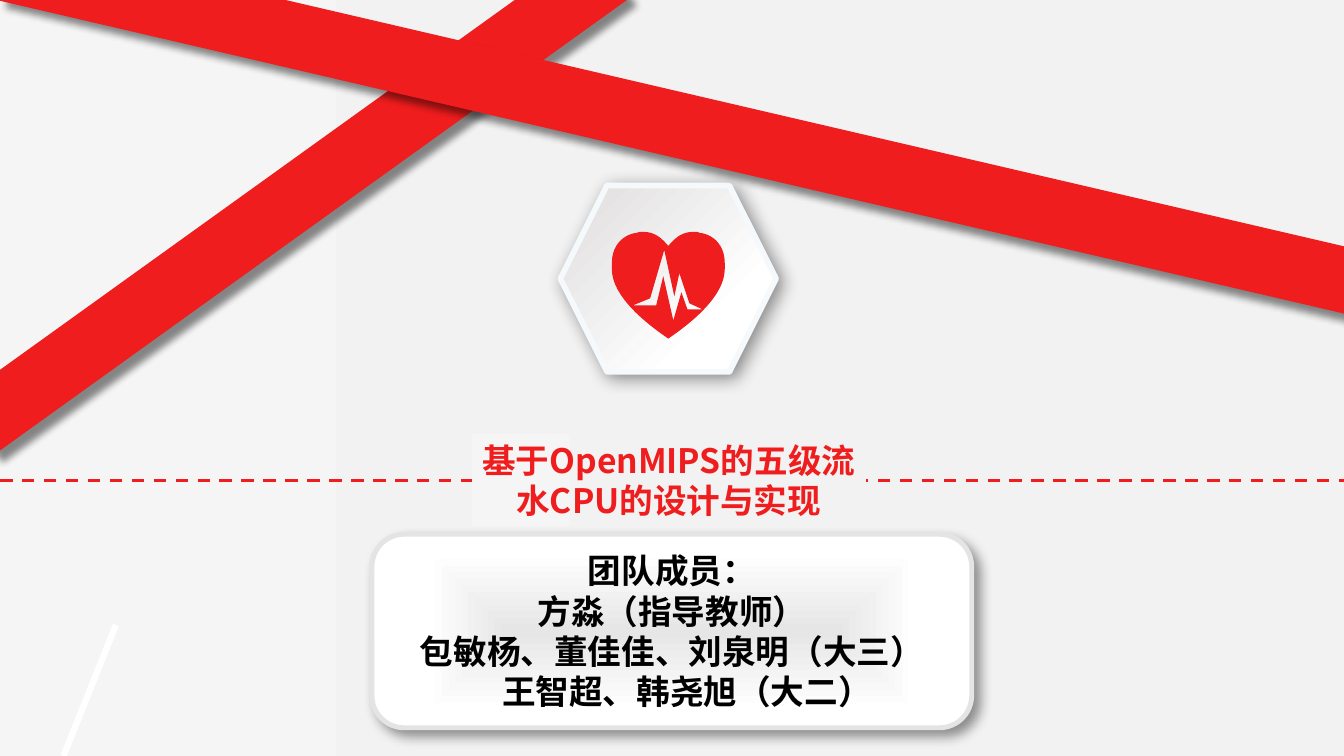
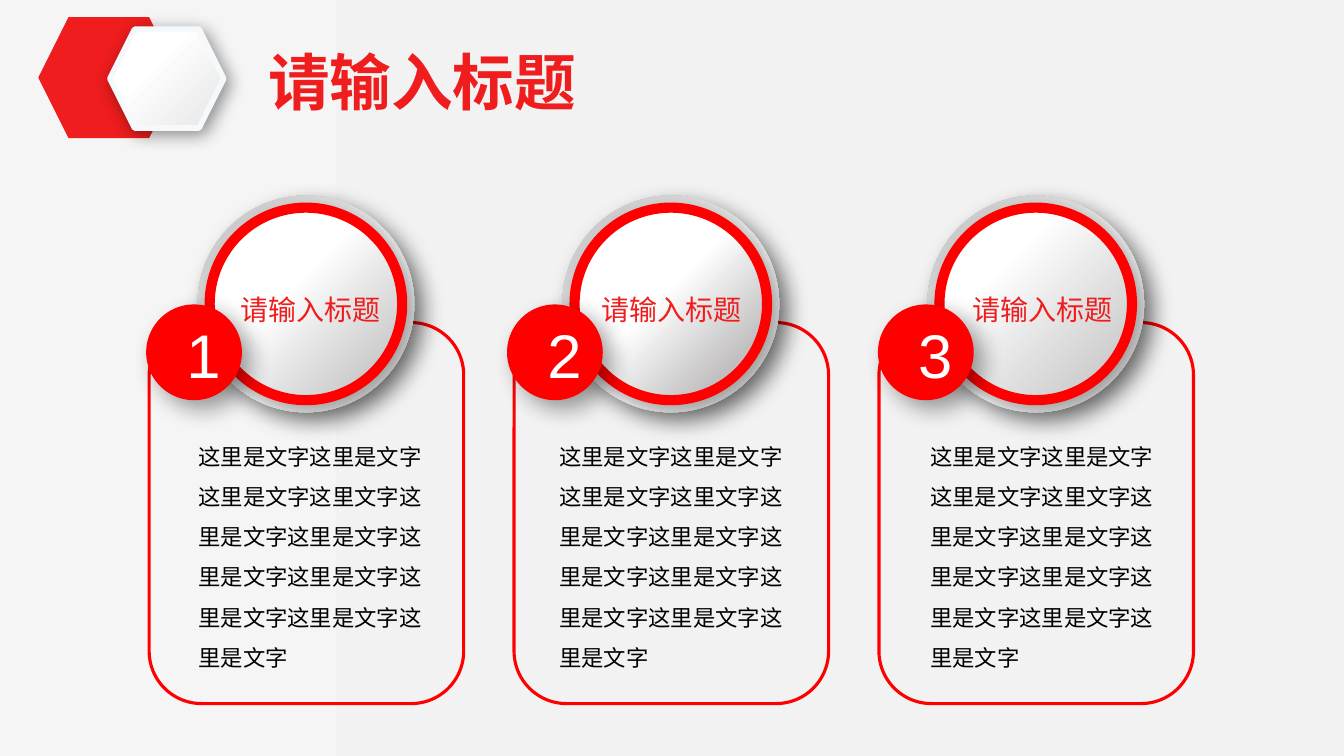
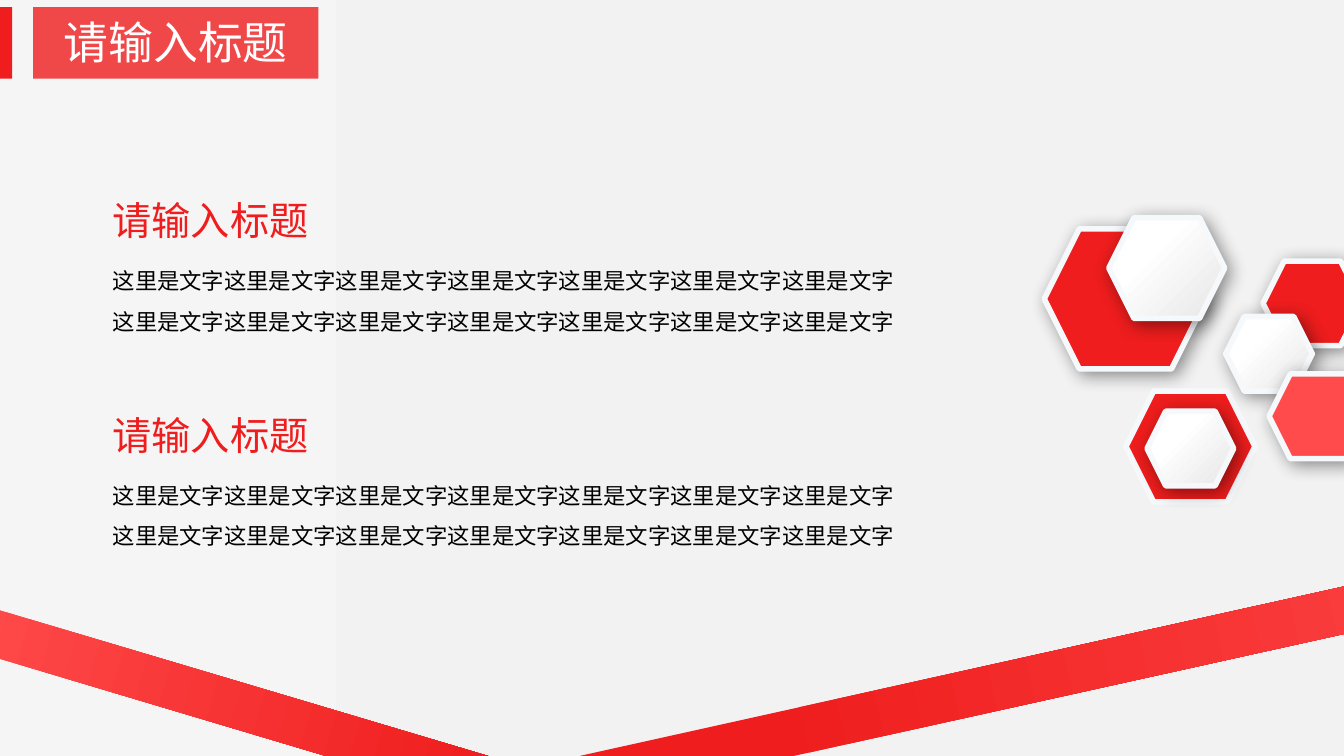
from dataclasses import dataclass
from typing import Optional, Sequence, Union

from lxml.etree import SubElement
from pptx import Presentation
from pptx.dml.color import RGBColor
from pptx.dml.fill import FillFormat
from pptx.enum.dml import MSO_LINE as Dash
from pptx.enum.shapes import MSO_CONNECTOR as Connector
from pptx.enum.shapes import MSO_SHAPE as Preset
from pptx.enum.text import MSO_ANCHOR as Anchor
from pptx.enum.text import MSO_AUTO_SIZE as AutoSize
from pptx.enum.text import PP_ALIGN as Align
from pptx.oxml.ns import qn
from pptx.shapes.autoshape import Shape
from pptx.slide import Slide
from pptx.util import Emu, Pt

EMU_PER_PX = 9144  # 100 px to the inch
Point = tuple[float, float]


@dataclass(frozen=True)
class Box:
    left: int
    top: int
    width: int
    height: int


@dataclass(frozen=True)
class Gradient:
    """Two (percent, colour) stops; the angle runs clockwise."""
    start: tuple[int, str]
    end: tuple[int, str]
    angle: int = 0
    boxed: bool = False


@dataclass(frozen=True)
class Shadow:
    opacity: int
    blur: int
    distance: int


@dataclass(frozen=True)
class Line:
    color: str
    width: float


Fill = Union[str, Gradient, None]


@dataclass(frozen=True)
class Theme:
    red: str = "EF1D1D"
    bright_red: str = "FF0000"
    light_red: str = "FF4B4B"
    white: str = "FFFFFF"
    black: str = "000000"
    grey: str = "C1BFBF"
    background: Gradient = Gradient((0, "F5F5F5"), (50, "F2F2F2"))
    raised: Gradient = Gradient((34, "FFFFFF"), (100, "E7E6E6"), 45)
    emblem: Gradient = Gradient((9, "E3E1E1"), (73, "FFFFFF"), 45)
    rim: Gradient = Gradient((0, "C1BFBF"), (63, "FFFFFF"), 45)
    panel: Gradient = Gradient((0, "E7E6E6"), (81, "FFFFFF"), boxed=True)
    hexagon_edge: Line = Line("F6F9FC", 4)
    panel_edge: Line = Line("E4E4E4", 3.5)
    card_edge: Line = Line("FF0000", 2.25)
    ring_edge: Line = Line("FF0000", 7.25)
    band_shadow: Shadow = Shadow(46, 5, 8)
    hexagon_shadow: Shadow = Shadow(43, 13, 4)
    panel_shadow: Shadow = Shadow(42, 9, 6)
    circle_shadow: Shadow = Shadow(38, 17, 9)
    font: str = "Noto Sans CJK SC"
    number_font: str = "Arial"
    body_size: int = 16
    label_size: int = 20
    cover_size: int = 24
    heading_size: int = 28
    tag_size: int = 32
    title_size: int = 44


THEME = Theme()


@dataclass(frozen=True)
class Column:
    card_left: int
    body_left: int
    ring_stops: tuple[int, int]


@dataclass(frozen=True)
class Hexagon:
    box: Box
    fill: Fill
    shadow: Optional[Shadow] = THEME.hexagon_shadow


PLACEHOLDER_TITLE = "请输入标题"
PHRASE = "这里是文字"
COLUMN_TEXT = PHRASE * 3 + "这里文字" + PHRASE * 7
COLUMNS = [
    Column(148, 187, (41, 94)),
    Column(510, 545, (45, 82)),
    Column(872, 913, (30, 100)),
]
CLUSTER = [
    Hexagon(Box(1036, 227, 161, 139), THEME.red),
    Hexagon(Box(1100, 216, 115, 100), THEME.raised),
    Hexagon(Box(1253, 259, 98, 84), THEME.red),
    Hexagon(Box(1117, 388, 128, 110), THEME.red, None),
    Hexagon(Box(1216, 314, 86, 74), THEME.raised),
    Hexagon(Box(1259, 371, 98, 84), THEME.light_red),
    Hexagon(Box(1138, 408, 86, 74), THEME.raised),
]
HEART_AXIS = 663
HEART_CURVES = [
    [(663, 336), (622, 308), (607, 285), (607, 267)],
    [(607, 261), (607, 241), (621, 232), (632, 231)],
    [(632, 231), (634, 230), (636, 230), (637, 230)],
    [(637, 230), (650, 230), (656, 236), (663, 244)],
]
PULSE = [(684, 301), (674, 271), (669, 294), (659, 248), (645, 296), (628, 303),
         (651, 303), (658, 274), (668, 318), (676, 290), (682, 307), (697, 307)]


def px(value: float) -> Emu:
    return Emu(round(value * EMU_PER_PX))


def frame(box: Box) -> tuple[Emu, Emu, Emu, Emu]:
    return px(box.left), px(box.top), px(box.width), px(box.height)


def paint(target: FillFormat, fill: Fill) -> None:
    if fill is None:
        target.background()
    elif isinstance(fill, str):
        target.solid()
        target.fore_color.rgb = RGBColor.from_string(fill)
    else:
        target.gradient()
        target.gradient_angle = (360 - fill.angle) % 360
        for stop, (percent, color) in zip(target.gradient_stops, (fill.start, fill.end)):
            stop.position = percent / 100
            stop.color.rgb = RGBColor.from_string(color)


def box_gradient(shape: Shape) -> None:
    """Turn a linear gradient into one that runs from the centre to the edges."""
    gradient = shape.element.spPr.find(qn("a:gradFill"))
    gradient.remove(gradient.find(qn("a:lin")))
    center = SubElement(gradient, qn("a:path"), {"path": "rect"})
    SubElement(center, qn("a:fillToRect"), dict.fromkeys("ltrb", "50000"))


def cast_shadow(shape: Shape, shadow: Shadow) -> None:
    effects = shape.element.spPr.find(qn("a:effectLst"))
    outer = SubElement(effects, qn("a:outerShdw"), {
        "blurRad": str(Pt(shadow.blur)), "dist": str(Pt(shadow.distance)),
        "dir": str(45 * 60000), "algn": "tl", "rotWithShape": "0"})
    color = SubElement(outer, qn("a:srgbClr"), {"val": THEME.black})
    SubElement(color, qn("a:alpha"), {"val": str(shadow.opacity * 1000)})


def style_shape(shape: Shape, fill: Fill, line: Optional[Line] = None,
                shadow: Optional[Shadow] = None) -> None:
    shape.shadow.inherit = False
    paint(shape.fill, fill)
    if isinstance(fill, Gradient) and fill.boxed:
        box_gradient(shape)
    if line:
        paint(shape.line.fill, line.color)
        shape.line.width = Pt(line.width)
    else:
        shape.line.fill.background()
    if shadow:
        cast_shadow(shape, shadow)


def add_preset(page: Slide, preset: Preset, box: Box, fill: Fill, *,
               line: Optional[Line] = None, shadow: Optional[Shadow] = None,
               rotation: float = 0) -> Shape:
    shape = page.shapes.add_shape(preset, *frame(box))
    shape.rotation = rotation
    style_shape(shape, fill, line, shadow)
    return shape


def add_hexagon(page: Slide, hexagon: Hexagon) -> None:
    add_preset(page, Preset.HEXAGON, hexagon.box, hexagon.fill,
               line=THEME.hexagon_edge, shadow=hexagon.shadow)


def add_line(page: Slide, start: Point, end: Point, line: Line,
             dash: Optional[Dash] = None) -> None:
    connector = page.shapes.add_connector(
        Connector.STRAIGHT, *(px(value) for value in (*start, *end)))
    paint(connector.line.fill, line.color)
    connector.line.width = Pt(line.width)
    if dash:
        connector.line.dash_style = dash
    SubElement(connector.element.spPr, qn("a:effectLst"))


def write(shape: Shape, lines: Sequence[str], *, size: int, color: str = THEME.black,
          font: str = THEME.font, bold: bool = False, align: Align = Align.LEFT,
          anchor: Anchor = Anchor.TOP, spacing: float = 1, wrap: bool = True) -> None:
    text_frame = shape.text_frame
    text_frame.auto_size = AutoSize.NONE
    text_frame.word_wrap = wrap
    text_frame.vertical_anchor = anchor
    for index, line in enumerate(lines):
        para = text_frame.add_paragraph() if index else text_frame.paragraphs[0]
        para.alignment = align
        para.line_spacing = spacing
        span = para.add_run()
        span.text = line
        span.font.size = Pt(size)
        span.font.bold = bold
        span.font.name = font
        span.font.color.rgb = RGBColor.from_string(color)
        SubElement(span.font._element, qn("a:ea"), {"typeface": font})


def add_text(page: Slide, box: Box, text: str, **style) -> None:
    write(page.shapes.add_textbox(*frame(box)), [text], **style)


def place_title(page: Slide, box: Box, text: str, **style) -> Shape:
    """Move the title placeholder into the box and in front of what is drawn so far."""
    title = page.shapes.title
    title.left, title.top, title.width, title.height = frame(box)
    title.element.getparent().append(title.element)
    write(title, [text], align=Align.CENTER, **style)
    return title


def sample_curve(controls: Sequence[Point], steps: int = 12) -> list[Point]:
    """Points along a cubic Bezier curve."""
    def blend(values: Sequence[float], t: float) -> float:
        a, b, c, d = values
        u = 1 - t
        return a * u ** 3 + 3 * b * u * u * t + 3 * c * u * t * t + d * t ** 3

    xs, ys = zip(*controls)
    return [(blend(xs, step / steps), blend(ys, step / steps))
            for step in range(steps + 1)]


def add_heart(page: Slide) -> None:
    left_half = [point for curve in HEART_CURVES for point in sample_curve(curve)]
    right_half = [(2 * HEART_AXIS - x, y) for x, y in reversed(left_half)]
    outline, pulse = ([(px(x), px(y)) for x, y in points]
                      for points in (left_half + right_half, PULSE))
    builder = page.shapes.build_freeform(*outline[0])
    builder.add_line_segments(outline[1:], close=True)
    builder.move_to(*pulse[0])
    builder.add_line_segments(pulse[1:], close=True)
    style_shape(builder.convert_to_shape(), THEME.red)


def build_cover(page: Slide) -> None:
    add_line(page, (115, 620), (63, 750), Line(THEME.white, 4.5))
    add_preset(page, Preset.RECTANGLE, Box(-97, 166, 774, 65), THEME.red,
               shadow=THEME.band_shadow, rotation=324.3)
    add_hexagon(page, Hexagon(Box(556, 184, 214, 185), THEME.emblem))
    add_heart(page)
    add_line(page, (0, 477), (1333, 477), Line(THEME.red, 2.25), Dash.DASH)
    title = place_title(page, Box(468, 431, 391, 91),
                        "基于OpenMIPS的五级流水CPU的设计与实现",
                        size=THEME.cover_size, color=THEME.red, bold=True)
    paint(title.fill, THEME.background)
    add_preset(page, Preset.RECTANGLE, Box(-14, 92, 1378, 65), THEME.red,
               shadow=THEME.band_shadow, rotation=13.1)
    team = add_preset(page, Preset.ROUNDED_RECTANGLE, Box(369, 530, 595, 192),
                      THEME.panel, line=THEME.panel_edge, shadow=THEME.panel_shadow)
    write(team, ["团队成员：", "方淼（指导教师）", "包敏杨、董佳佳、刘泉明（大三）",
                 "王智超、韩尧旭（大二）"],
          size=THEME.cover_size, bold=True, align=Align.CENTER, anchor=Anchor.MIDDLE)
    last_para = team.text_frame.paragraphs[-1]
    last_para._p.get_or_add_pPr().set("marL", str(px(30)))


def add_card(page: Slide, column: Column) -> None:
    left = column.card_left
    first, last = column.ring_stops
    ring = Gradient((first, THEME.white), (last, THEME.grey), 45)
    add_preset(page, Preset.ROUNDED_RECTANGLE, Box(left, 320, 312, 378), None,
               line=THEME.card_edge)
    add_preset(page, Preset.OVAL, Box(left + 48, 194, 215, 215), THEME.rim,
               shadow=THEME.circle_shadow)
    add_preset(page, Preset.OVAL, Box(left + 60, 206, 191, 191), ring,
               line=THEME.ring_edge, shadow=THEME.circle_shadow)


def add_card_text(page: Slide, number: int, column: Column) -> None:
    left = column.body_left
    add_preset(page, Preset.OVAL, Box(left - 42, 302, 95, 95), THEME.bright_red,
               shadow=THEME.circle_shadow)
    add_text(page, Box(left, 421, 244, 252), COLUMN_TEXT,
             size=THEME.body_size, spacing=1.5)
    add_text(page, Box(left + 34, 285, 175, 44), PLACEHOLDER_TITLE,
             size=THEME.label_size, color=THEME.red, align=Align.CENTER)
    add_text(page, Box(left - 12, 309, 54, 84), str(number), size=THEME.title_size,
             color=THEME.white, font=THEME.number_font, align=Align.CENTER)


def build_columns(page: Slide) -> None:
    for column in COLUMNS:
        add_card(page, column)
    for number, column in enumerate(COLUMNS, start=1):
        add_card_text(page, number, column)
    add_preset(page, Preset.HEXAGON, Box(38, 17, 140, 120), THEME.red)
    add_hexagon(page, Hexagon(Box(109, 29, 113, 98), THEME.raised))
    place_title(page, Box(223, 39, 392, 84), PLACEHOLDER_TITLE,
                size=THEME.title_size, color=THEME.red, bold=True)


def build_sections(page: Slide) -> None:
    for top in (190, 403):
        add_text(page, Box(102, top, 314, 57), PLACEHOLDER_TITLE,
                 size=THEME.heading_size, color=THEME.red)
        add_text(page, Box(102, top + 57, 807, 91), PHRASE * 14,
                 size=THEME.body_size, spacing=1.5)
    tag = add_preset(page, Preset.RECTANGLE, Box(33, 7, 283, 71), THEME.red)
    tag_color = tag.element.spPr.find(qn("a:solidFill")).find(qn("a:srgbClr"))
    SubElement(tag_color, qn("a:alpha"), {"val": "80000"})
    place_title(page, Box(52, 10, 245, 64), PLACEHOLDER_TITLE,
                size=THEME.tag_size, color=THEME.white, wrap=False)
    add_preset(page, Preset.RECTANGLE, Box(-12, 7, 24, 71), THEME.red)
    for hexagon in CLUSTER:
        add_hexagon(page, hexagon)
    add_preset(page, Preset.RECTANGLE, Box(-46, 673, 537, 46),
               Gradient((0, THEME.light_red), (100, THEME.red)), rotation=16.6)
    add_preset(page, Preset.RECTANGLE, Box(568, 635, 1056, 46),
               Gradient((18, THEME.red), (100, THEME.light_red)), rotation=347.5)


def main() -> None:
    deck = Presentation()
    deck.slide_width, deck.slide_height = Emu(12192000), px(750)
    paint(deck.slide_master.background.fill, THEME.background)
    title_only = deck.slide_layouts.get_by_name("Title Only")
    for build in (build_cover, build_columns, build_sections):
        build(deck.slides.add_slide(title_only))
    deck.save("out.pptx")


if __name__ == "__main__":
    main()
